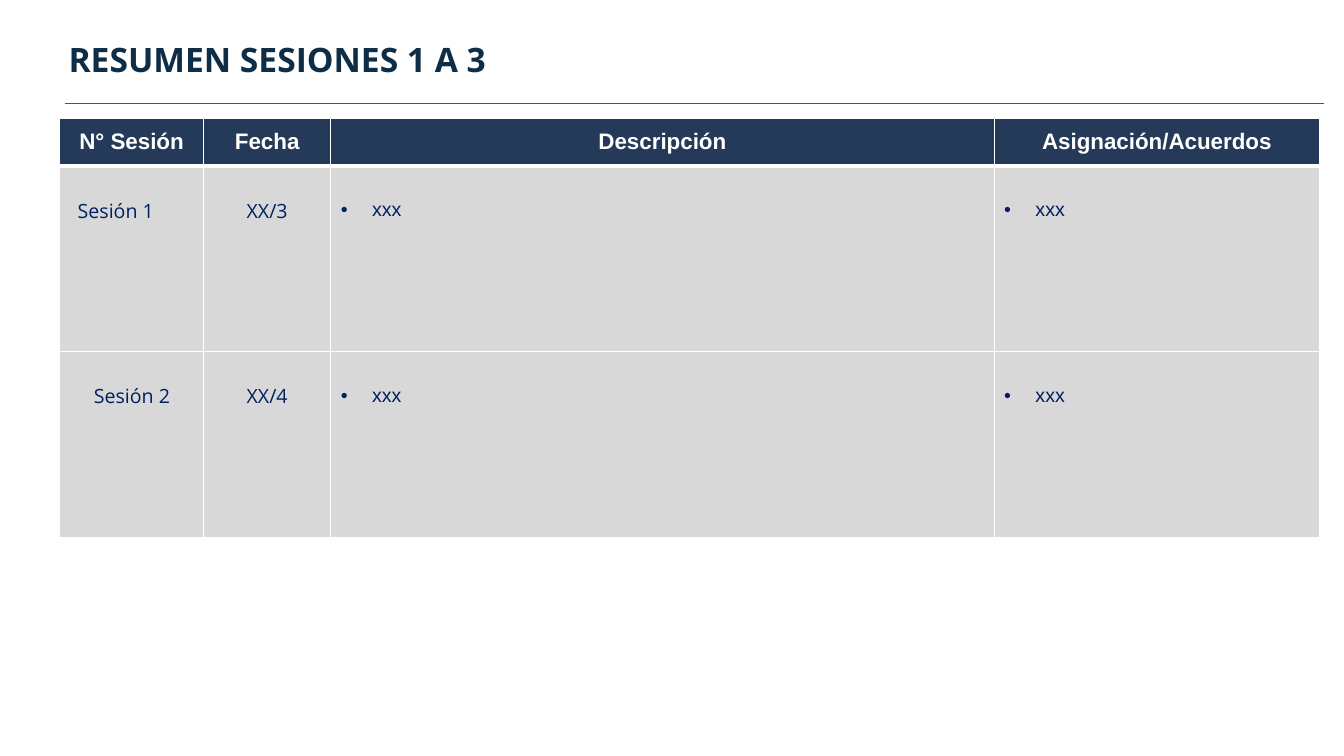
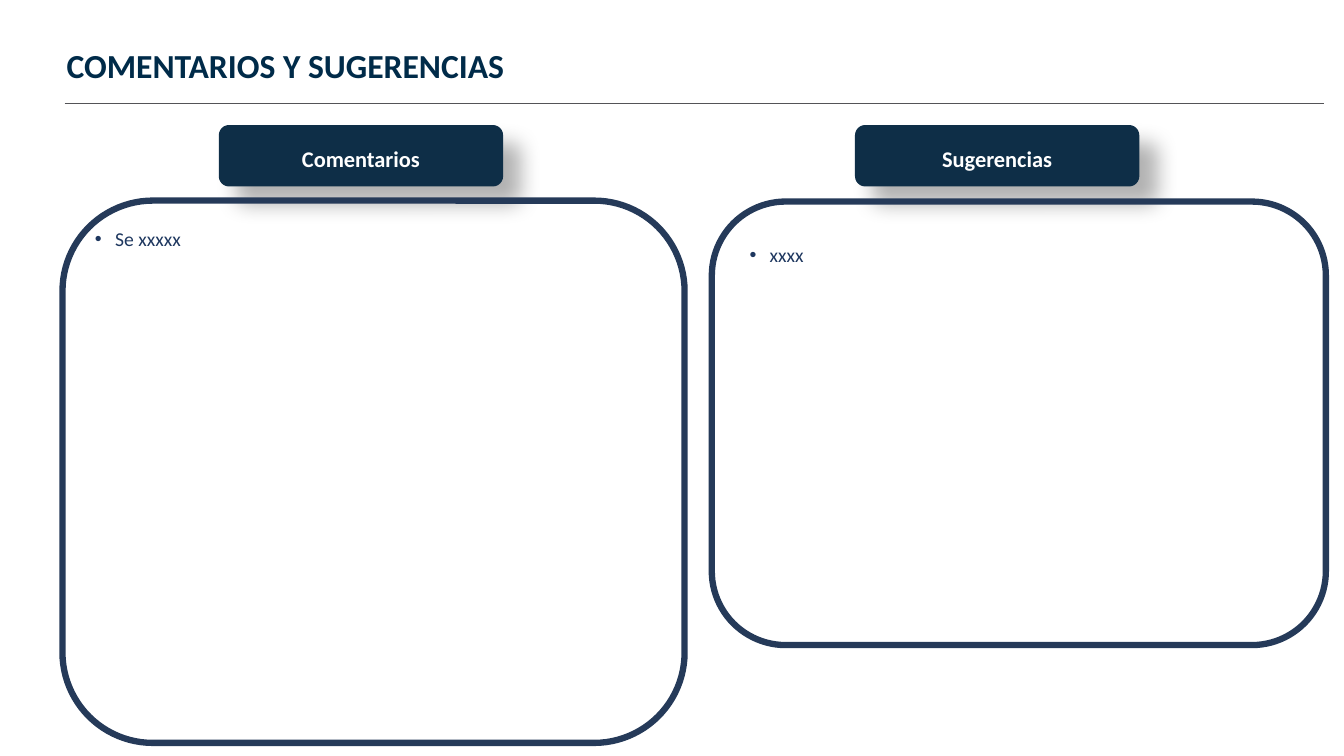
from lxml import etree
from pptx import Presentation
from pptx.dml.color import RGBColor
from pptx.enum.shapes import MSO_CONNECTOR, MSO_SHAPE
from pptx.enum.text import MSO_ANCHOR, MSO_AUTO_SIZE, PP_ALIGN
from pptx.oxml.ns import qn
from pptx.util import Pt

PX = 9144  # EMU per px, 100 px to the inch
LEFT, CENTER = PP_ALIGN.LEFT, PP_ALIGN.CENTER
TOP, MIDDLE = MSO_ANCHOR.TOP, MSO_ANCHOR.MIDDLE
ROUNDED = MSO_SHAPE.ROUNDED_RECTANGLE
STRAIGHT = MSO_CONNECTOR.STRAIGHT
NO_AUTOFIT = MSO_AUTO_SIZE.NONE
TITLE_ONLY = 5

COLORS = {
    "white": "FFFFFF",
    "rule": "535357",
    "navy": "0E2E47",
    "title_blue": "002B49",
    "frame": "253A59",
    "cell": "D8D8D8",
    "cell_text": "002060",
    "panel_text": "1E375F",
    "shadow": "000000",
}


def px(*lengths):
    return [length * PX for length in lengths]


def rgb(name):
    return RGBColor.from_string(COLORS[name])


def sub(parent, tag, **attributes):
    """Append a DrawingML element to parent."""
    child = etree.SubElement(parent, qn(tag))
    for key, value in attributes.items():
        child.set(key, str(value))
    return child


def set_margins(target, left=10, top=5, right=10, bottom=5):
    target.margin_left, target.margin_top = px(left, top)
    target.margin_right, target.margin_bottom = px(right, bottom)


def add_run(paragraph, text, font, size, color, bold=False, align=LEFT):
    paragraph.alignment = align
    run = paragraph.add_run()
    run.text = text
    run.font.name = font
    run.font.size = Pt(size)
    run.font.bold = bold
    run.font.color.rgb = rgb(color)


def add_bullet(paragraph, indent, color):
    properties = paragraph._p.get_or_add_pPr()
    properties.set("marL", str(indent * PX))
    properties.set("indent", str(-indent * PX))
    bullet_color = sub(properties, "a:buClr")
    sub(bullet_color, "a:srgbClr", val=COLORS[color])
    sub(properties, "a:buFont", typeface="Arial")
    sub(properties, "a:buChar", char="•")


def start_slide(prs, heading, box, font, color):
    """Title and the rule below it, common to every slide."""
    slide = prs.slides.add_slide(prs.slide_layouts[TITLE_ONLY])
    rule = slide.shapes.add_connector(STRAIGHT, *px(64, 103, 1313, 103))
    rule.line.color.rgb = rgb("rule")
    rule.line.width = Pt(0.75)
    sub(rule._element.spPr, "a:effectLst")

    title = slide.shapes.title
    title.left, title.top, title.width, title.height = px(*box)
    frame = title.text_frame
    frame.auto_size = NO_AUTOFIT
    frame.vertical_anchor = TOP
    set_margins(frame)
    add_run(frame.paragraphs[0], heading, font, 24, color, bold=True)
    return slide


# Sessions table
def style_cell(cell, fill, top_border, bottom_border):
    properties = cell._tc.get_or_add_tcPr()
    borders = {"a:lnL": 1, "a:lnR": 1, "a:lnT": top_border, "a:lnB": bottom_border}
    for side, width in borders.items():
        line = sub(properties, side, w=Pt(width))
        line_fill = sub(line, "a:solidFill")
        sub(line_fill, "a:srgbClr", val=COLORS["white"])
    cell.fill.solid()
    cell.fill.fore_color.rgb = rgb(fill)


def add_sessions_table(slide, left, top, columns, row_heights, sessions):
    table = slide.shapes.add_table(
        len(row_heights), len(columns),
        *px(left, top, sum(width for _, width in columns), sum(row_heights))
    ).table
    table.horz_banding = False
    for row, height in zip(table.rows, row_heights):
        row.height = height * PX

    # Header row
    for index, (heading, width) in enumerate(columns):
        table.columns[index].width = width * PX
        cell = table.cell(0, index)
        style_cell(cell, "frame", 1, 3)
        cell.vertical_anchor = MIDDLE
        set_margins(cell)
        add_run(cell.text_frame.paragraphs[0], heading, "Arial", 16, "white",
                bold=True, align=CENTER)

    # One row per session
    for row, (name_margin, *texts) in enumerate(sessions, start=1):
        for index, text in enumerate(texts):
            cell = table.cell(row, index)
            style_cell(cell, "cell", 3 if row == 1 else 1, 1)
            cell.vertical_anchor = TOP
            paragraph = cell.text_frame.paragraphs[0]
            if index < 2:
                set_margins(cell, left=10 if index else name_margin, top=31)
                add_run(paragraph, text, "Open Sans", 14, "cell_text",
                        align=CENTER if index else LEFT)
            else:
                set_margins(cell, top=34)
                add_bullet(paragraph, 31, "cell_text")
                paragraph.line_spacing = 0.93
                add_run(paragraph, text, "Arial", 14, "cell_text")


# Comment panels
def add_tab(slide, box, label):
    tab = slide.shapes.add_shape(ROUNDED, *px(*box))
    tab.fill.solid()
    tab.fill.fore_color.rgb = rgb("navy")
    tab.line.fill.background()
    effects = sub(tab._element.spPr, "a:effectLst")
    shadow = sub(effects, "a:outerShdw", blurRad=Pt(15), dist=Pt(18),
                 dir=45 * 60000, algn="tl", rotWithShape=0)
    shadow_color = sub(shadow, "a:srgbClr", val=COLORS["shadow"])
    sub(shadow_color, "a:alpha", val=30000)
    frame = tab.text_frame
    frame.vertical_anchor = MIDDLE
    set_margins(frame, top=10)
    add_run(frame.paragraphs[0], label, "Calibri", 16, "white",
            bold=True, align=CENTER)


def add_panel(slide, box, margin_left, margin_top, remark):
    panel = slide.shapes.add_shape(ROUNDED, *px(*box))
    panel.shadow.inherit = False
    panel.fill.background()
    panel.line.color.rgb = rgb("frame")
    panel.line.width = Pt(4.5)
    frame = panel.text_frame
    frame.word_wrap = True
    frame.vertical_anchor = TOP
    set_margins(frame, left=margin_left, top=margin_top)
    paragraph = frame.paragraphs[0]
    add_bullet(paragraph, 20, "panel_text")
    add_run(paragraph, remark, "Calibri", 14, "panel_text")


def build_summary(prs):
    slide = start_slide(prs, "RESUMEN SESIONES 1 A 3", (58, 34, 553, 50),
                        "Open Sans", "navy")
    columns = [("N° Sesión", 143), ("Fecha", 126),
               ("Descripción", 658), ("Asignación/Acuerdos", 323)]
    sessions = [(18, "Sesión 1", "XX/3", "xxx", "xxx"),
                (34, "Sesión 2", "XX/4", "xxx", "xxx")]
    add_sessions_table(slide, 59, 117, columns, [48, 184, 184], sessions)


def build_feedback(prs):
    slide = start_slide(prs, "COMENTARIOS Y SUGERENCIAS", (56, 40, 917, 50),
                        "Calibri", "title_blue")
    topics = [
        ("Comentarios", 217, (62, 199, 617, 538), 6, 0, "Se xxxxx"),
        ("Sugerencias", 848, (706, 200, 609, 440), 16, 20, "xxxx"),
    ]
    for label, tab_left, panel_box, margin_left, margin_top, remark in topics:
        add_tab(slide, (tab_left, 124, 282, 61), label)
        add_panel(slide, panel_box, margin_left, margin_top, remark)


def main():
    prs = Presentation()
    prs.slide_width, prs.slide_height = px(1333, 750)
    build_summary(prs)
    build_feedback(prs)
    prs.save("out.pptx")


if __name__ == "__main__":
    main()
